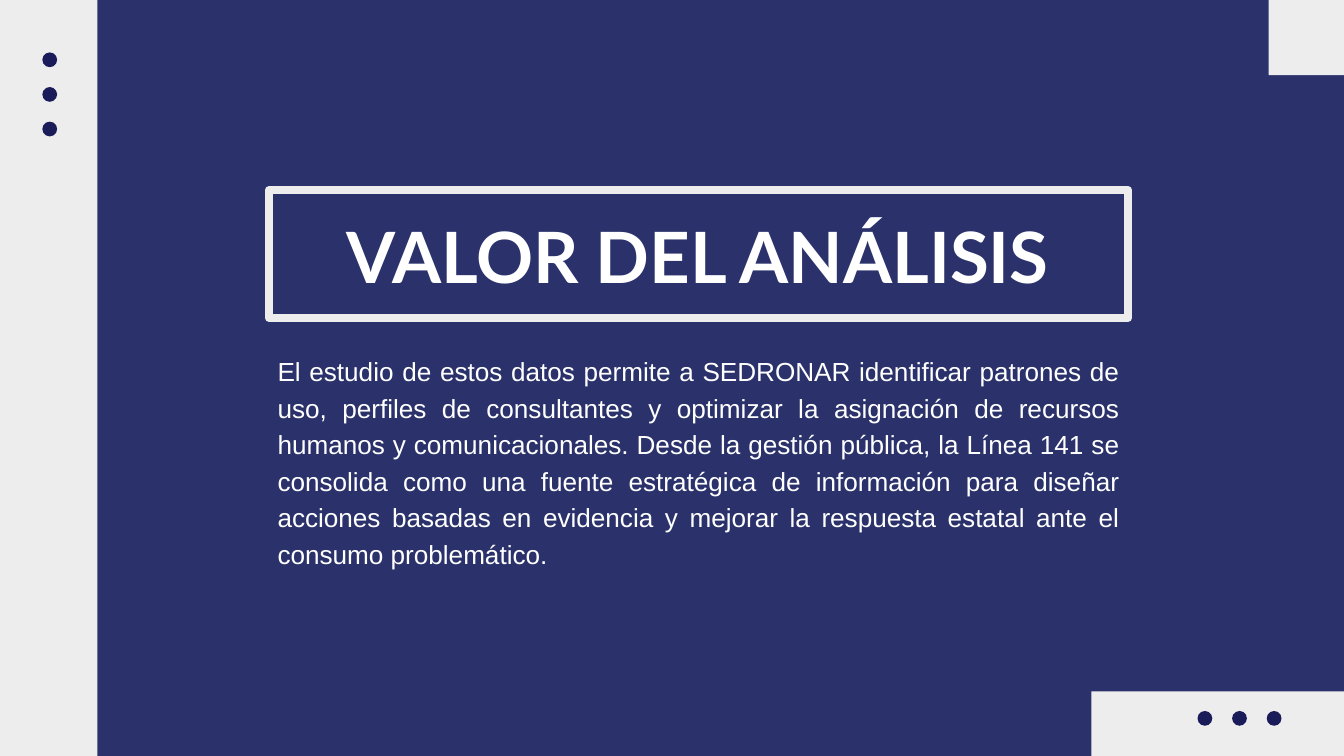
from pptx import Presentation
from pptx.dml.color import RGBColor
from pptx.enum.shapes import MSO_SHAPE as Shape
from pptx.enum.text import PP_ALIGN as Align
from pptx.util import Inches, Pt

NAVY = RGBColor(0x2B, 0x32, 0x6B)
DARK_NAVY = RGBColor(0x19, 0x1C, 0x59)
LIGHT_GRAY = RGBColor(0xED, 0xED, 0xED)
WHITE = RGBColor(0xFF, 0xFF, 0xFF)

SLIDE_WIDTH, SLIDE_HEIGHT = 20, 11.25
DOT_SIZE, DOT_STEP, DOT_COUNT = 0.22, 0.515, 3

TITLE = "VALOR DEL ANÁLISIS"
BODY = (
    "El estudio de estos datos permite a SEDRONAR identificar patrones de uso, "
    "perfiles de consultantes y optimizar la asignación de recursos humanos y "
    "comunicacionales. Desde la gestión pública, la Línea 141 se consolida como "
    "una fuente estratégica de información para diseñar acciones basadas en "
    "evidencia y mejorar la respuesta estatal ante el consumo problemático."
)


def write_text(text_frame, text, *, font, size, spacing, align, bold=False, color=WHITE):
    paragraph = text_frame.paragraphs[0]
    paragraph.alignment = align
    paragraph.line_spacing = Pt(spacing)
    run = paragraph.add_run()
    run.text = text
    run.font.name = font
    run.font.size = Pt(size)
    run.font.bold = bold
    run.font.color.rgb = color


class SlideBuilder:
    def __init__(self, slide):
        self.slide = slide
        self.panel_color = LIGHT_GRAY
        self.dot_color = DARK_NAVY
        self.frame_width = Pt(8.25)

    def background(self, color):
        fill = self.slide.background.fill
        fill.solid()
        fill.fore_color.rgb = color

    def add_shape(self, kind, left, top, width, height):
        shape = self.slide.shapes.add_shape(
            kind, Inches(left), Inches(top), Inches(width), Inches(height)
        )
        shape.shadow.inherit = False
        return shape

    def filled(self, kind, left, top, width, height, color):
        shape = self.add_shape(kind, left, top, width, height)
        shape.fill.solid()
        shape.fill.fore_color.rgb = color
        shape.line.fill.background()

    def panel(self, left, top, right, bottom):
        self.filled(Shape.RECTANGLE, left, top, right - left, bottom - top, self.panel_color)

    def frame(self, left, top, width, height):
        shape = self.add_shape(Shape.RECTANGLE, left, top, width, height)
        shape.fill.background()
        shape.line.color.rgb = self.panel_color
        shape.line.width = self.frame_width

    def dots(self, left, top, step_x=0, step_y=0):
        for index in range(DOT_COUNT):
            self.filled(Shape.OVAL, left + index * step_x, top + index * step_y,
                        DOT_SIZE, DOT_SIZE, self.dot_color)

    def text(self, text, left, top, width, height, **text_format):
        box = self.slide.shapes.add_textbox(
            Inches(left), Inches(top), Inches(width), Inches(height)
        )
        text_frame = box.text_frame
        text_frame.word_wrap = True
        text_frame.margin_left = text_frame.margin_right = 0
        text_frame.margin_top = text_frame.margin_bottom = 0
        write_text(text_frame, text, **text_format)


def main():
    presentation = Presentation()
    presentation.slide_width = Inches(SLIDE_WIDTH)
    presentation.slide_height = Inches(SLIDE_HEIGHT)
    builder = SlideBuilder(presentation.slides.add_slide(presentation.slide_layouts[6]))

    builder.background(NAVY)
    builder.frame(4, 2.83, 12.79, 1.9)
    builder.text(TITLE, 3.71, 3.13, 13.36, 1.28, font="Lato", size=75.8,
                 spacing=93.2, align=Align.CENTER, bold=True)
    builder.panel(0, 0, 1.45, SLIDE_HEIGHT)
    builder.panel(18.88, 0, SLIDE_WIDTH, 1.12)
    builder.panel(16.24, 10.29, SLIDE_WIDTH, SLIDE_HEIGHT)
    builder.text(BODY, 4.13, 5.21, 12.52, 3.8, font="Arial", size=28,
                 spacing=39.2, align=Align.JUSTIFY)
    builder.dots(0.63, 0.78, step_y=DOT_STEP)
    builder.dots(17.82, 10.58, step_x=DOT_STEP)

    presentation.save("out.pptx")


if __name__ == "__main__":
    main()
